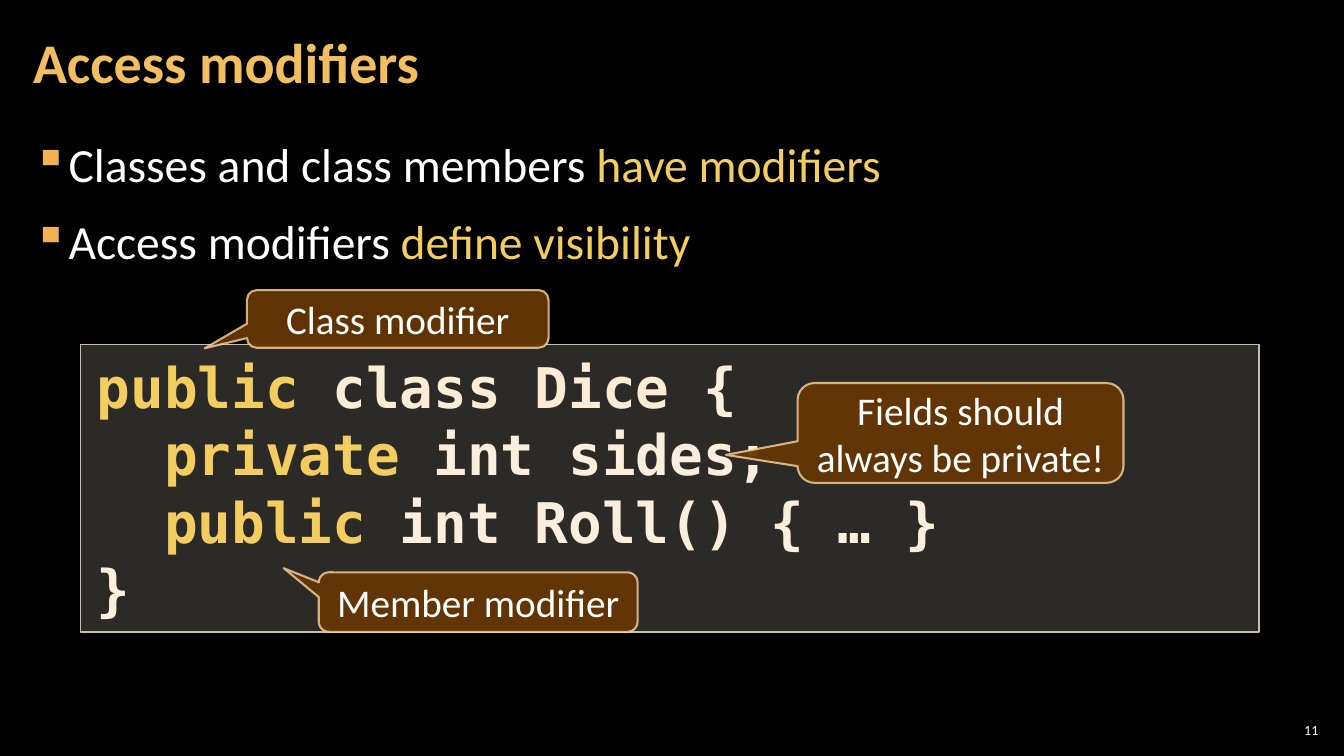
"""Build the slide on access modifiers."""
from dataclasses import dataclass

from pptx import Presentation
from pptx.dml.color import RGBColor
from pptx.enum.shapes import MSO_SHAPE
from pptx.enum.text import MSO_ANCHOR, MSO_AUTO_SIZE, PP_ALIGN
from pptx.oxml.ns import qn
from pptx.oxml.xmlchemy import OxmlElement
from pptx.shapes.autoshape import Shape
from pptx.slide import Slide
from pptx.text.text import TextFrame, _Paragraph
from pptx.util import Pt

RECTANGLE = MSO_SHAPE.RECTANGLE
CALLOUT = MSO_SHAPE.ROUNDED_RECTANGULAR_CALLOUT
TOP, MIDDLE = MSO_ANCHOR.TOP, MSO_ANCHOR.MIDDLE
GROW = MSO_AUTO_SIZE.SHAPE_TO_FIT_TEXT
LEFT, CENTER, RIGHT = PP_ALIGN.LEFT, PP_ALIGN.CENTER, PP_ALIGN.RIGHT


@dataclass(frozen=True)
class Theme:
    """Colours, fonts and type sizes of the slide."""

    background: str = "000000"
    text: str = "FFFFFF"
    title: str = "F3BE60"
    highlight: str = "F3CD60"
    bullet: str = "F2B254"
    code: str = "FBEEDC"
    declaration: str = "FCECD5"
    panel: str = "D9D5C7"
    panel_line: str = "C7BFAC"
    callout: str = "663606"
    callout_line: str = "F8D49E"
    body_font: str = "Calibri"
    code_font: str = "DejaVu Sans Mono"
    title_size: float = 40
    body_size: float = 34
    code_size: float = 40
    callout_size: float = 28
    number_size: float = 10


THEME = Theme()


@dataclass(frozen=True)
class Box:
    """Place and size in points."""

    left: float
    top: float
    width: float
    height: float


@dataclass(frozen=True)
class Span:
    """Words in one colour."""

    text: str
    color: str = THEME.text


@dataclass(frozen=True)
class CodeLine:
    """A line of code and its indent level."""

    level: int
    spans: tuple[Span, ...]


@dataclass(frozen=True)
class Callout:
    """A remark whose tip is given relative to its size."""

    text: str
    box: Box
    tip_x: float
    tip_y: float


TITLE_BOX = Box(15.1, 2.9, 753.8, 87.1)
BODY_BOX = Box(15.1, 90.7, 929.5, 438.5)
CODE_BOX = Box(57.6, 246.2, 841.7, 205.2)
NUMBER_BOX = Box(910.8, 514.1, 33.8, 15.1)
BULLET_INDENT = 24
CODE_INDENT = 48.16

BULLETS = (
    (Span("Classes and class members "), Span("have modifiers", THEME.highlight)),
    (Span("Access modifiers "), Span("define visibility", THEME.highlight)),
)
CODE = (
    CodeLine(0, (Span("public ", THEME.highlight), Span("class Dice ", THEME.declaration), Span("{", THEME.code))),
    CodeLine(1, (Span("private ", THEME.highlight), Span("int sides;", THEME.code))),
    CodeLine(1, (Span("public ", THEME.highlight), Span("int Roll() { … }", THEME.code))),
    CodeLine(0, (Span("}", THEME.code),)),
)
CALLOUTS = (
    Callout("Class modifier", Box(176.4, 207.2, 215.5, 41.2), -0.64, 0.51),
    Callout("Member modifier", Box(227.7, 408.8, 227.7, 42.5), -0.61, -0.57),
    Callout("Fields should always be private!", Box(569.7, 273.6, 232.8, 71.3), -0.72, 0.22),
)


def lengths(box: Box) -> tuple[Pt, Pt, Pt, Pt]:
    """Return the box as lengths."""
    return Pt(box.left), Pt(box.top), Pt(box.width), Pt(box.height)


def set_frame(frame: TextFrame, anchor: MSO_ANCHOR, side: float, end: float) -> None:
    """Set wrapping, anchor and margins of a text frame."""
    frame.word_wrap = True
    frame.vertical_anchor = anchor
    frame.margin_left = frame.margin_right = Pt(side)
    frame.margin_top = frame.margin_bottom = Pt(end)


def add_spans(paragraph: _Paragraph, spans: tuple[Span, ...], size: float,
              font: str = THEME.body_font, bold: bool = False) -> None:
    """Add coloured runs to a paragraph."""
    for span in spans:
        run = paragraph.add_run()
        run.text = span.text
        run.font.name = font
        run.font.size = Pt(size)
        run.font.bold = bold
        run.font.color.rgb = RGBColor.from_string(span.color)


def add_text(slide: Slide, box: Box, anchor: MSO_ANCHOR, side: float) -> TextFrame:
    """Add an empty text box and return its frame."""
    frame = slide.shapes.add_textbox(*lengths(box)).text_frame
    set_frame(frame, anchor, side, 3.6)
    return frame


def next_paragraph(frame: TextFrame, index: int) -> _Paragraph:
    """Return the first paragraph or add another one."""
    return frame.paragraphs[0] if index == 0 else frame.add_paragraph()


def set_alpha(shape: Shape, parent: str, percent: int) -> None:
    """Make the fill or line colour partly transparent."""
    color = next(shape._element.spPr.find(qn(parent)).iter(qn("a:srgbClr")))
    alpha = OxmlElement("a:alpha")
    alpha.set("val", str(percent * 1000))
    color.append(alpha)


def add_panel(slide: Slide, kind: MSO_SHAPE, box: Box, fill: str, opacity: int,
              line: str, width: float) -> Shape:
    """Add a translucent outlined shape."""
    panel = slide.shapes.add_shape(kind, *lengths(box))
    panel.shadow.inherit = False
    panel.fill.solid()
    panel.fill.fore_color.rgb = RGBColor.from_string(fill)
    panel.line.color.rgb = RGBColor.from_string(line)
    panel.line.width = Pt(width)
    set_alpha(panel, "a:solidFill", opacity)
    return panel


def add_bullets(slide: Slide) -> None:
    """Add the bulleted statements."""
    frame = add_text(slide, BODY_BOX, TOP, 8.5)
    for index, spans in enumerate(BULLETS):
        paragraph = next_paragraph(frame, index)
        paragraph.line_spacing = 1.05
        paragraph.space_before = paragraph.space_after = Pt(6)
        properties = paragraph._p.get_or_add_pPr()
        properties.set("marL", str(Pt(BULLET_INDENT)))
        properties.set("indent", str(-Pt(BULLET_INDENT)))
        for tag, child_tag, value in (("a:buClr", "a:srgbClr", THEME.bullet), ("a:buChar", "", "▪")):
            element = OxmlElement(tag)
            if child_tag:
                color = OxmlElement(child_tag)
                color.set("val", value)
                element.append(color)
            else:
                element.set("char", value)
            properties.append(element)
        add_spans(paragraph, spans, THEME.body_size)


def add_code(slide: Slide) -> None:
    """Add the code panel."""
    panel = add_panel(slide, RECTANGLE, CODE_BOX, THEME.panel, 20, THEME.panel_line, 1)
    frame = panel.text_frame
    set_frame(frame, TOP, 11.5, 5.8)
    frame.auto_size = GROW
    for index, line in enumerate(CODE):
        paragraph = next_paragraph(frame, index)
        paragraph.alignment = LEFT
        paragraph._p.get_or_add_pPr().set("marL", str(Pt(line.level * CODE_INDENT)))
        add_spans(paragraph, line.spans, THEME.code_size, THEME.code_font, True)


def add_callout(slide: Slide, callout: Callout) -> None:
    """Add a remark with its pointer."""
    bubble = add_panel(slide, CALLOUT, callout.box, THEME.callout, 95, THEME.callout_line, 1.5)
    set_alpha(bubble, "a:ln", 80)
    for index, value in enumerate((callout.tip_x, callout.tip_y, 0.17)):
        bubble.adjustments[index] = value
    set_frame(bubble.text_frame, MIDDLE, 7.2, 3.6)
    paragraph = bubble.text_frame.paragraphs[0]
    paragraph.alignment = CENTER
    add_spans(paragraph, (Span(callout.text),), THEME.callout_size)


def main() -> None:
    """Build and save the slide."""
    deck = Presentation()
    deck.slide_width, deck.slide_height = Pt(960), Pt(540)
    slide = deck.slides.add_slide(deck.slide_layouts[6])
    slide.background.fill.solid()
    slide.background.fill.fore_color.rgb = RGBColor.from_string(THEME.background)

    number = add_text(slide, NUMBER_BOX, MIDDLE, 2.9).paragraphs[0]
    number.alignment = RIGHT
    add_spans(number, (Span("11"),), THEME.number_size)
    add_bullets(slide)
    title = add_text(slide, TITLE_BOX, MIDDLE, 8.5).paragraphs[0]
    title.line_spacing = 0.9
    add_spans(title, (Span("Access modifiers", THEME.title),), THEME.title_size, bold=True)
    add_code(slide)
    for callout in CALLOUTS:
        add_callout(slide, callout)
    deck.save("out.pptx")


if __name__ == "__main__":
    main()
